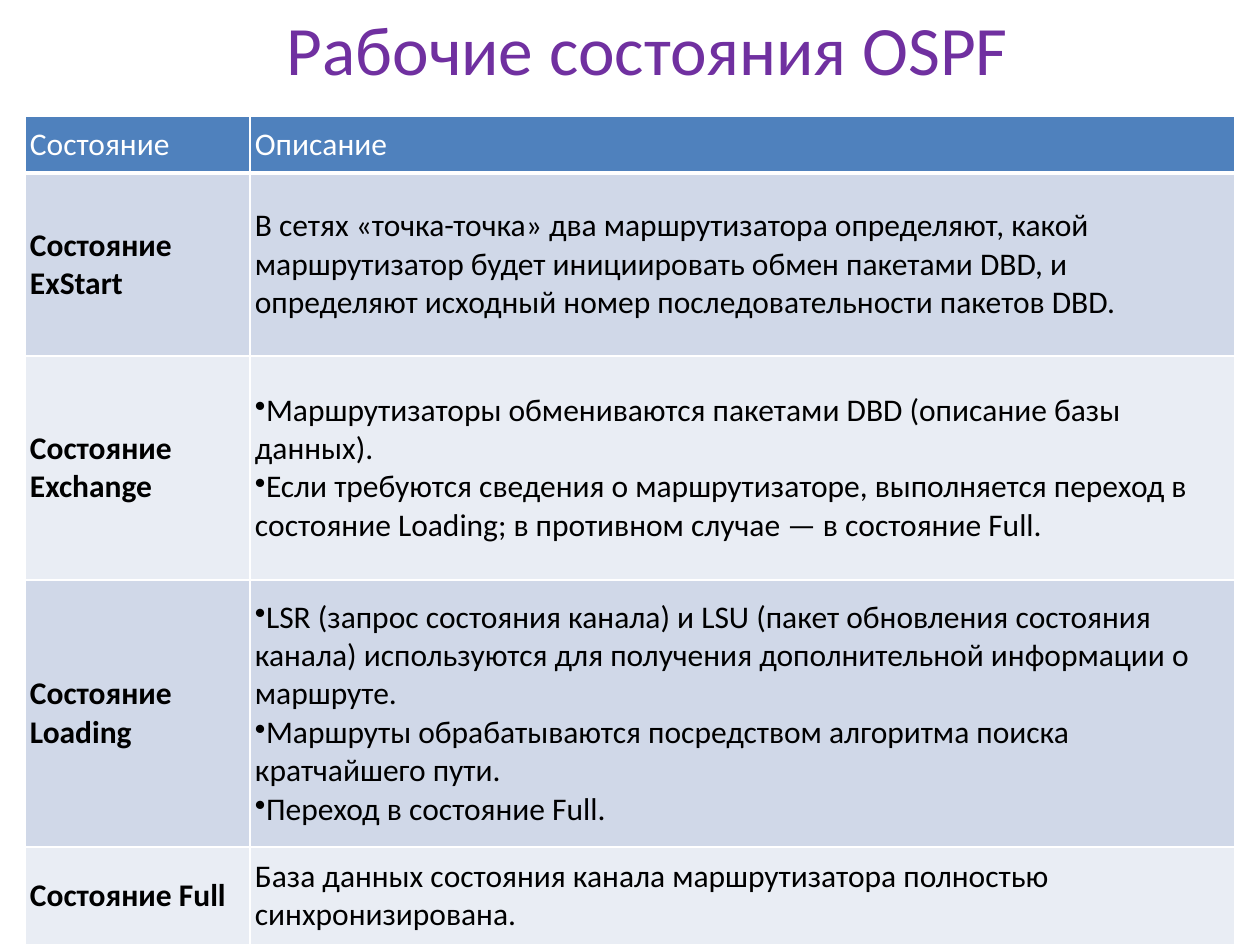
from lxml import etree
from pptx import Presentation
from pptx.dml.color import RGBColor
from pptx.enum.text import MSO_ANCHOR, PP_ALIGN
from pptx.oxml.ns import qn
from pptx.util import Emu, Pt

MIDDLE = MSO_ANCHOR.MIDDLE
CENTER = PP_ALIGN.CENTER
TITLE_ONLY = 5
EMU_PER_PX = 914400 // 126
FONT = "Calibri"
PURPLE, BLUE, WHITE, BLACK = "7030A0", "4F81BD", "FFFFFF", "000000"
BANDS = ("D0D8E8", "E9EDF4")

# Content: a list in the second column is a bulleted list
TITLE = "Рабочие состояния OSPF"
ROWS = [
    ("Состояние", "Описание"),
    ("Состояние ExStart",
     "В сетях «точка-точка» два маршрутизатора определяют, какой маршрутизатор "
     "будет инициировать обмен пакетами DBD, и определяют исходный номер "
     "последовательности пакетов DBD."),
    ("Состояние Exchange", [
        "Маршрутизаторы обмениваются пакетами DBD (описание базы данных).",
        "Если требуются сведения о маршрутизаторе, выполняется переход в "
        "состояние Loading; в противном случае — в состояние Full.",
    ]),
    ("Состояние Loading", [
        "LSR (запрос состояния канала) и LSU (пакет обновления состояния канала) "
        "используются для получения дополнительной информации о маршруте.",
        "Маршруты обрабатываются посредством алгоритма поиска кратчайшего пути.",
        "Переход в состояние Full.",
    ]),
    ("Состояние Full",
     "База данных состояния канала маршрутизатора полностью синхронизирована."),
]
COLUMN_WIDTHS = (225, 985)
ROW_HEIGHTS = (57, 183, 224, 267, 98)
TABLE_LEFT, TABLE_TOP = 25, 116


def px(length):
    return Emu(length * EMU_PER_PX)


def rgb(value):
    return RGBColor.from_string(value)


def style(font, size, color, bold=False):
    font.name, font.size, font.bold = FONT, Pt(size), bold
    font.color.rgb = rgb(color)


def add_borders(cell, bottom_width):
    tc_pr = cell._tc.get_or_add_tcPr()
    for side, width in (("L", 1), ("R", 1), ("T", 1), ("B", bottom_width)):
        line = etree.SubElement(tc_pr, qn(f"a:ln{side}"), w=str(Pt(width)))
        fill = etree.SubElement(line, qn("a:solidFill"))
        etree.SubElement(fill, qn("a:srgbClr"), val=WHITE)


def fill_cell(cell, content, background, color, bold, bottom_width):
    add_borders(cell, bottom_width)
    cell.fill.solid()
    cell.fill.fore_color.rgb = rgb(background)
    cell.vertical_anchor = MIDDLE
    cell.margin_left = cell.margin_right = px(5)
    cell.margin_top = cell.margin_bottom = px(6)

    bulleted = isinstance(content, list)
    cell.text_frame.text = "\n".join(content) if bulleted else content
    for paragraph in cell.text_frame.paragraphs:
        if bulleted:
            p_pr = paragraph._p.get_or_add_pPr()
            etree.SubElement(p_pr, qn("a:buChar"), char="•")
        for run in paragraph.runs:
            style(run.font, 18, color, bold)


prs = Presentation()
prs.slide_width, prs.slide_height = px(1260), px(945)
slide = prs.slides.add_slide(prs.slide_layouts[TITLE_ONLY])

# Title
title = slide.shapes.title
title.left, title.top, title.width, title.height = px(35), px(0), px(1225), px(96)
title.text_frame.text = TITLE
title.text_frame.vertical_anchor = MIDDLE
heading = title.text_frame.paragraphs[0]
heading.alignment = CENTER
style(heading.runs[0].font, 39.6, PURPLE)

# Table of states
table = slide.shapes.add_table(
    len(ROWS), len(COLUMN_WIDTHS), px(TABLE_LEFT), px(TABLE_TOP),
    px(sum(COLUMN_WIDTHS)), px(sum(ROW_HEIGHTS))).table
for column, width in zip(table.columns, COLUMN_WIDTHS):
    column.width = px(width)
for r, (height, contents) in enumerate(zip(ROW_HEIGHTS, ROWS)):
    table.rows[r].height = px(height)
    header = r == 0
    background = BLUE if header else BANDS[(r - 1) % 2]
    for c, content in enumerate(contents):
        fill_cell(table.cell(r, c), content, background,
                  color=WHITE if header else BLACK,
                  bold=not header and c == 0,
                  bottom_width=3 if header else 1)

prs.save("out.pptx")
